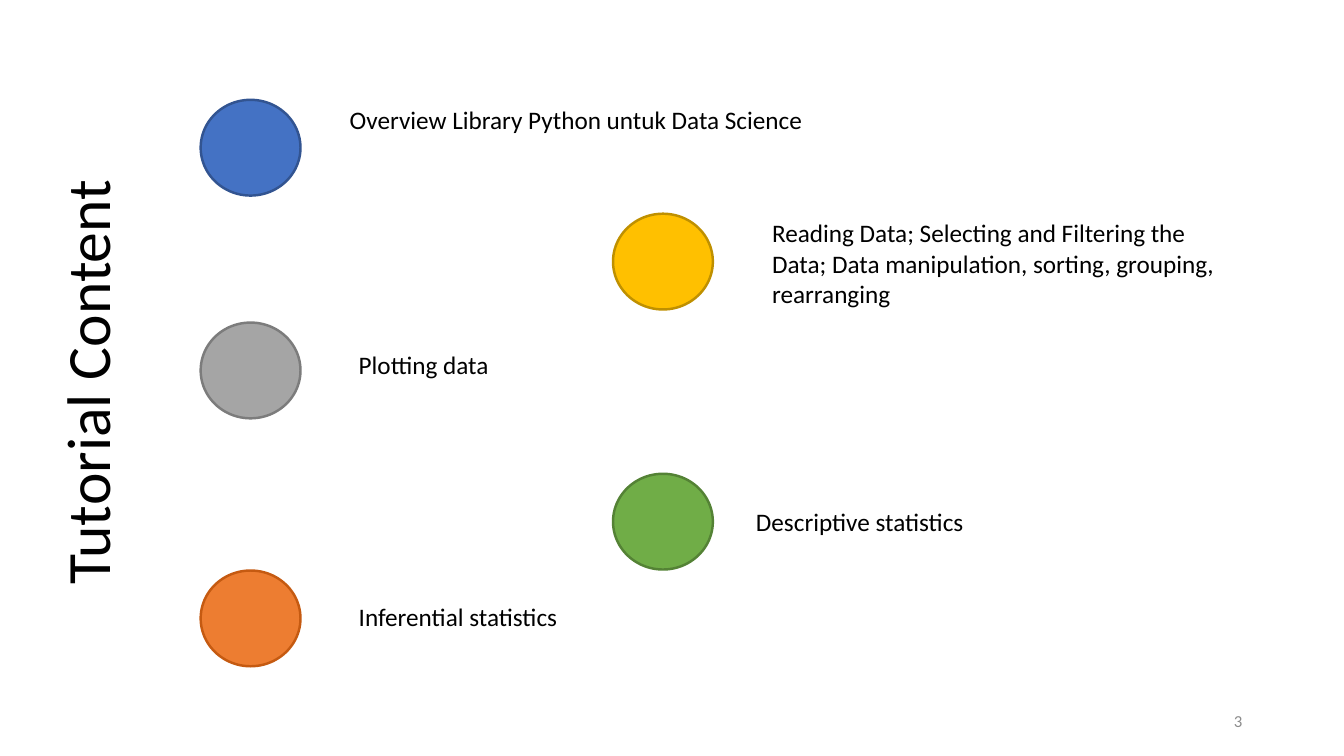
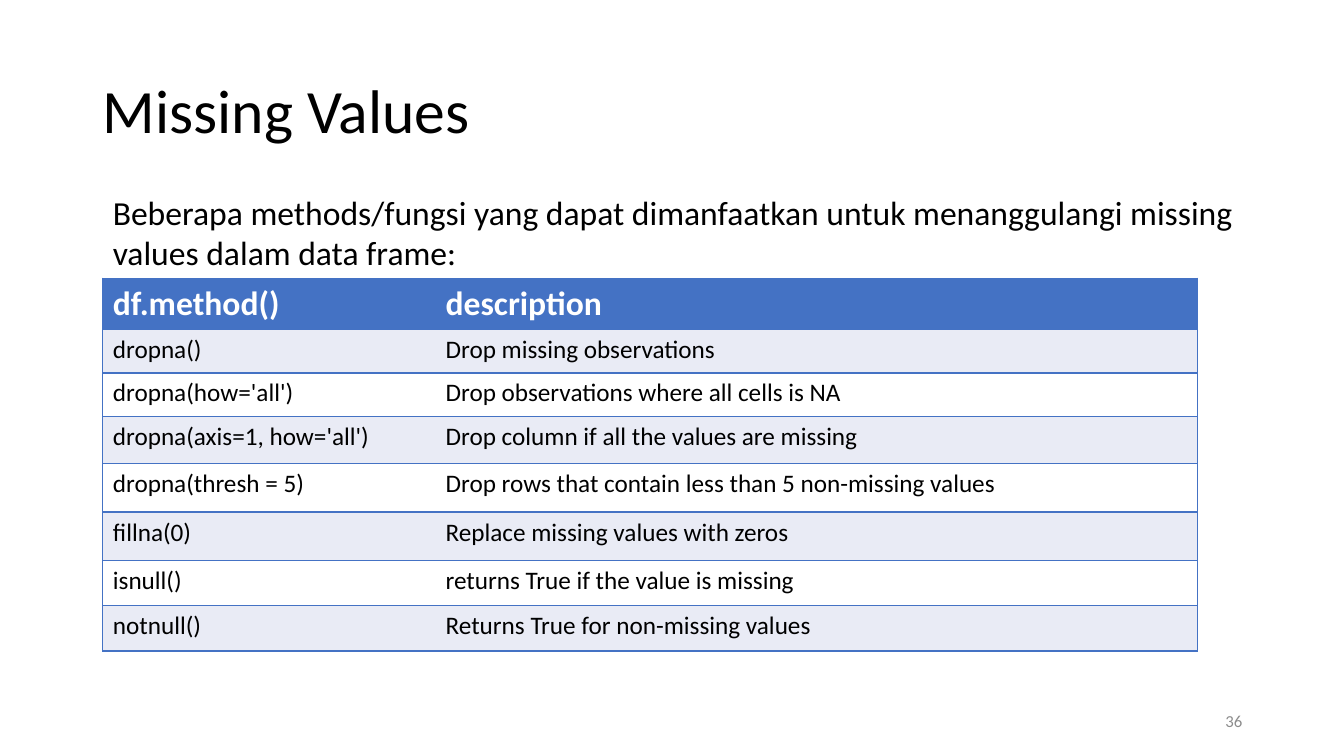
"""Build two tutorial slides: the content overview and the missing-values table."""
from lxml import etree
from pptx import Presentation
from pptx.dml.color import RGBColor
from pptx.enum import shapes, text
from pptx.oxml import ns
from pptx.util import Inches, Pt

FONT = "Calibri"
BLACK = RGBColor(0x00, 0x00, 0x00)
WHITE = RGBColor(0xFF, 0xFF, 0xFF)
MUTED = RGBColor(0x8C, 0x8C, 0x8C)
BLUE = RGBColor(0x44, 0x72, 0xC4)
NAVY = RGBColor(0x32, 0x54, 0x91)
GOLD = RGBColor(0xFF, 0xC0, 0x00)
OCHRE = RGBColor(0xBF, 0x90, 0x00)
GRAY = RGBColor(0xA5, 0xA5, 0xA5)
SLATE = RGBColor(0x7C, 0x7C, 0x7C)
GREEN = RGBColor(0x70, 0xAD, 0x47)
MOSS = RGBColor(0x54, 0x82, 0x35)
ORANGE = RGBColor(0xED, 0x7D, 0x31)
RUST = RGBColor(0xC5, 0x5A, 0x11)
BAND = RGBColor(0xE9, 0xEB, 0xF5)


def write(frame, words, size, color=BLACK, bold=False):
    para = frame.paragraphs[0]
    run = para.add_run()
    run.text = words
    run.font.name = FONT
    run.font.size = Pt(size)
    run.font.color.rgb = color
    run.font.bold = bold
    return para


def label(slide, words, size, left, top, width, height, color=BLACK):
    box = slide.shapes.add_textbox(Inches(left), Inches(top), Inches(width), Inches(height))
    box.text_frame.word_wrap = True
    return box.text_frame, write(box.text_frame, words, size, color)


deck = Presentation()
deck.slide_width = Inches(13.33)
deck.slide_height = Inches(7.5)

heads = [
    ("Tutorial Content", "3", (-2.15, 2.13, 6.09, 1.45), 270),
    ("Missing Values", "36", (0.92, 0.4, 11.5, 1.45), 0),
]
slides = []
for words, number, place, turn in heads:
    slide = deck.slides.add_slide(deck.slide_layouts[5])
    title = slide.shapes.title
    title.left, title.top, title.width, title.height = map(Inches, place)
    title.rotation = turn
    title.text_frame.auto_size = text.MSO_AUTO_SIZE.NONE
    title.text_frame.vertical_anchor = text.MSO_ANCHOR.MIDDLE
    para = write(title.text_frame, words, 44)
    para.alignment = text.PP_ALIGN.LEFT
    para.line_spacing = 0.9
    frame, para = label(slide, number, 12, 9.42, 6.95, 3, 0.4, MUTED)
    frame.vertical_anchor = text.MSO_ANCHOR.MIDDLE
    para.alignment = text.PP_ALIGN.RIGHT
    slides.append(slide)
outline, missing = slides

topics = [
    ("Overview Library Python untuk Data Science",
     (3.37, 0.99, 5.25, 0.4), (1.99, 0.99), BLUE, NAVY),
    ("Reading Data; Selecting and Filtering the Data; "
     "Data manipulation, sorting, grouping, rearranging",
     (7.56, 2.11, 4.65, 1.31), (6.08, 2.12), GOLD, OCHRE),
    ("Plotting data", (3.46, 3.42, 5.77, 0.4), (1.99, 3.2), GRAY, SLATE),
    ("Descriptive statistics", (7.4, 4.97, 5.77, 0.4), (6.08, 4.7), GREEN, MOSS),
    ("Inferential statistics", (3.46, 5.92, 5.77, 0.4), (1.99, 5.66), ORANGE, RUST),
]
for words, place, (left, top), fill, edge in topics:
    label(outline, words, 18, *place)
    dot = outline.shapes.add_shape(
        shapes.MSO_SHAPE.OVAL, Inches(left), Inches(top), Inches(0.99), Inches(0.95))
    dot.shadow.inherit = False
    dot.fill.solid()
    dot.fill.fore_color.rgb = fill
    dot.line.color.rgb = edge
    dot.line.width = Pt(1.75)

label(missing, "Beberapa methods/fungsi yang dapat dimanfaatkan untuk menanggulangi "
      "missing values dalam data frame:", 24, 1.02, 1.85, 11.39, 0.91)

rows = [
    (0.51, "df.method()", "description"),
    (0.43, "dropna()", "Drop missing observations"),
    (0.43, "dropna(how='all')", "Drop observations where all cells is NA"),
    (0.47, "dropna(axis=1, how='all')", "Drop column if all the values are missing"),
    (0.48, "dropna(thresh = 5)", "Drop rows that contain less than 5 non-missing values"),
    (0.48, "fillna(0)", "Replace missing values with zeros"),
    (0.45, "isnull()", "returns True if the value is missing"),
    (0.45, "notnull()", "Returns True for non-missing values"),
]
table = missing.shapes.add_table(
    len(rows), 2, Inches(1.02), Inches(2.76), Inches(10.86), Inches(3.7)).table
table.columns[0].width = Inches(3.3)
table.columns[1].width = Inches(7.56)
for r, (height, *cells) in enumerate(rows):
    table.rows[r].height = Inches(height)
    head = r == 0
    for c, words in enumerate(cells):
        cell = table.cell(r, c)
        write(cell.text_frame, words, 24 if head else 18, WHITE if head else BLACK, head)
        props = cell._tc.get_or_add_tcPr()
        for side in "LRTB":
            line = etree.SubElement(props, ns.qn("a:ln" + side), w=str(Pt(1)))
            if side == "LR"[1 - c]:
                etree.SubElement(line, ns.qn("a:noFill"))
            else:
                paint = etree.SubElement(line, ns.qn("a:solidFill"))
                etree.SubElement(paint, ns.qn("a:srgbClr"), val=str(BLUE))
        cell.fill.solid()
        cell.fill.fore_color.rgb = BLUE if head else BAND if r % 2 else WHITE

deck.save("out.pptx")
